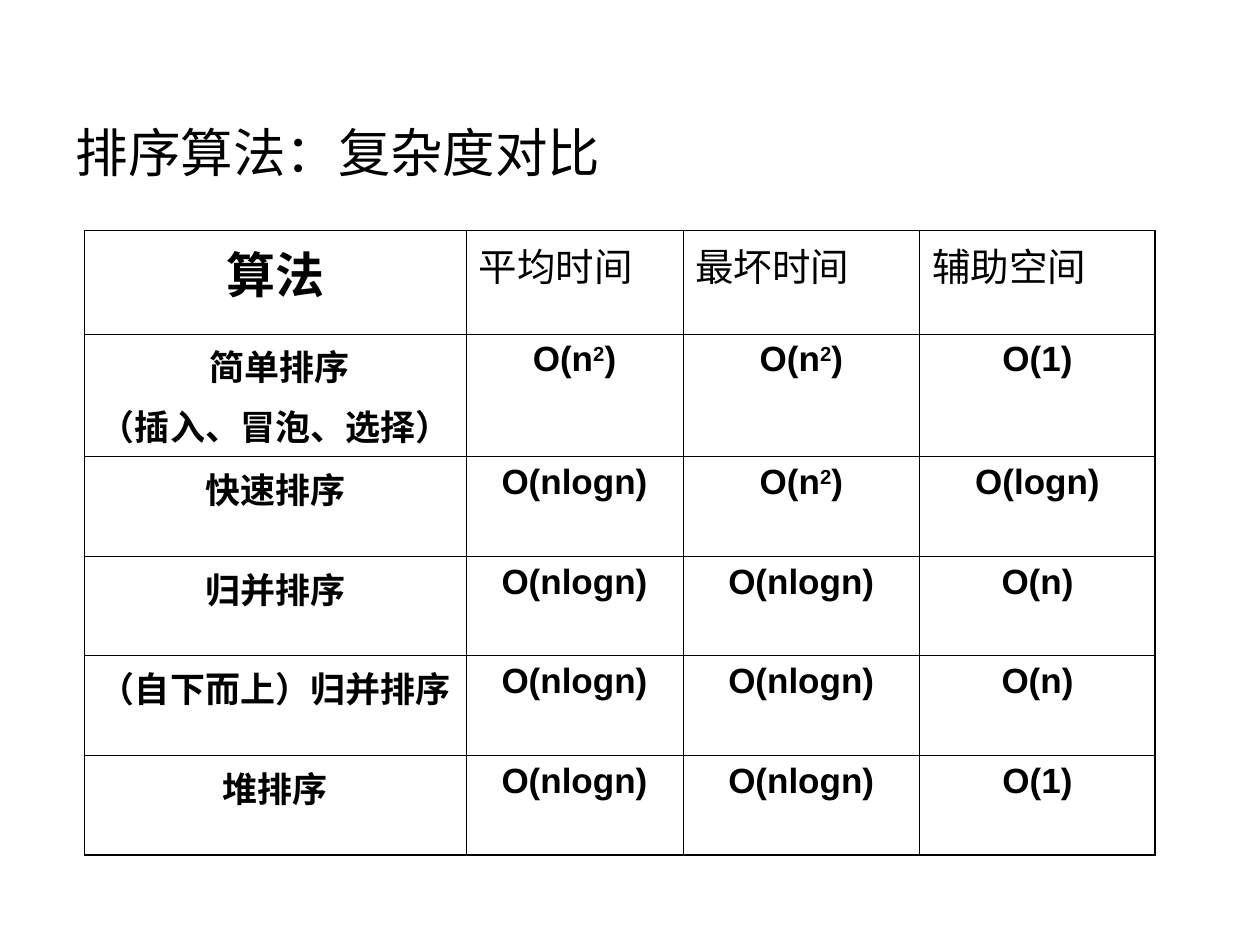
from pptx import Presentation
from pptx.dml.color import RGBColor
from pptx.enum.text import MSO_ANCHOR, PP_ALIGN
from pptx.oxml.ns import qn
from pptx.util import Inches, Pt
from lxml.etree import SubElement


def color(value):
    return RGBColor.from_string(value)


def add_border(cell, side, width, value):
    line = SubElement(cell._tc.get_or_add_tcPr(), qn(f"a:ln{side}"), w=str(Pt(width)))
    fill = SubElement(line, qn("a:solidFill"))
    SubElement(fill, qn("a:srgbClr"), val=value)


BLACK, WHITE = "000000", "FFFFFF"
OUTER, INNER = 1.08, 0.45

presentation = Presentation()
presentation.slide_width = Inches(10)
presentation.slide_height = Inches(7.5)
slide = presentation.slides.add_slide(presentation.slide_layouts[5])

title = slide.shapes.title
title.left, title.top = Inches(0.5), Inches(0.25)
title.width, title.height = Inches(9), Inches(1.25)
title.text_frame.text = "排序算法：复杂度对比"
title.text_frame.vertical_anchor = MSO_ANCHOR.BOTTOM
paragraph = title.text_frame.paragraphs[0]
paragraph.alignment = PP_ALIGN.LEFT
font = paragraph.runs[0].font
font.name, font.size, font.color.rgb = "Arial", Pt(30), color(BLACK)

rows = [
    ["算法", "平均时间", "最坏时间", "辅助空间"],
    [" 简单排序\n（插入、冒泡、选择）", "O(n^2^)", "O(n^2^)", "O(1)"],
    ["快速排序", "O(nlogn)", "O(n^2^)", "O(logn)"],
    ["归并排序", "O(nlogn)", "O(nlogn)", "O(n)"],
    ["（自下而上）归并排序", "O(nlogn)", "O(nlogn)", "O(n)"],
    ["堆排序", "O(nlogn)", "O(nlogn)", "O(1)"],
]
column_widths = [3.03, 1.72, 1.88, 1.87]
row_heights = [0.82, 0.84] + [0.79] * 4
last_row, last_column = len(rows) - 1, len(column_widths) - 1
tinted_cells = [(row, 0) for row in range(last_row)] + [(1, 1), (1, 2)]

table = slide.shapes.add_table(
    len(rows), len(column_widths), Inches(0.67), Inches(1.83), Inches(8.5), Inches(4.83)
).table
table.first_row = False
table.horz_banding = False
for column, width in zip(table.columns, column_widths):
    column.width = Inches(width)
for row, height in zip(table.rows, row_heights):
    row.height = Inches(height)

for row_index, row in enumerate(rows):
    for column_index, text in enumerate(row):
        cell = table.cell(row_index, column_index)
        is_column_label = row_index == 0 and column_index > 0
        if is_column_label:
            size = 22
        else:
            size = 28 if row_index == 0 else 20

        for line_index, line in enumerate(text.split("\n")):
            if line_index == 0:
                paragraph = cell.text_frame.paragraphs[0]
            else:
                paragraph = cell.text_frame.add_paragraph()
                paragraph.space_before = Pt(5)
            paragraph.alignment = PP_ALIGN.LEFT if is_column_label else PP_ALIGN.CENTER
            for part_index, part in enumerate(line.split("^")):
                run = paragraph.add_run()
                run.text = part
                run.font.name, run.font.size = "Arial", Pt(size)
                run.font.bold = not is_column_label
                run.font.color.rgb = color(BLACK)
                if part_index == 1:
                    run._r.get_or_add_rPr().set("baseline", "30000")

        add_border(cell, "L", OUTER if column_index == 0 else INNER, BLACK)
        add_border(cell, "R", OUTER if column_index == last_column else INNER, BLACK)
        add_border(cell, "T", OUTER if row_index == 0 else INNER, BLACK)
        add_border(cell, "B", OUTER if row_index == last_row else INNER, BLACK)

        if (row_index, column_index) in tinted_cells:
            cell.fill.solid()
            cell.fill.fore_color.rgb = color(WHITE)
            fill_color = cell._tc.tcPr.find(qn("a:solidFill")).find(qn("a:srgbClr"))
            SubElement(fill_color, qn("a:alpha"), val="50000")
        else:
            cell.fill.background()

presentation.save("out.pptx")
